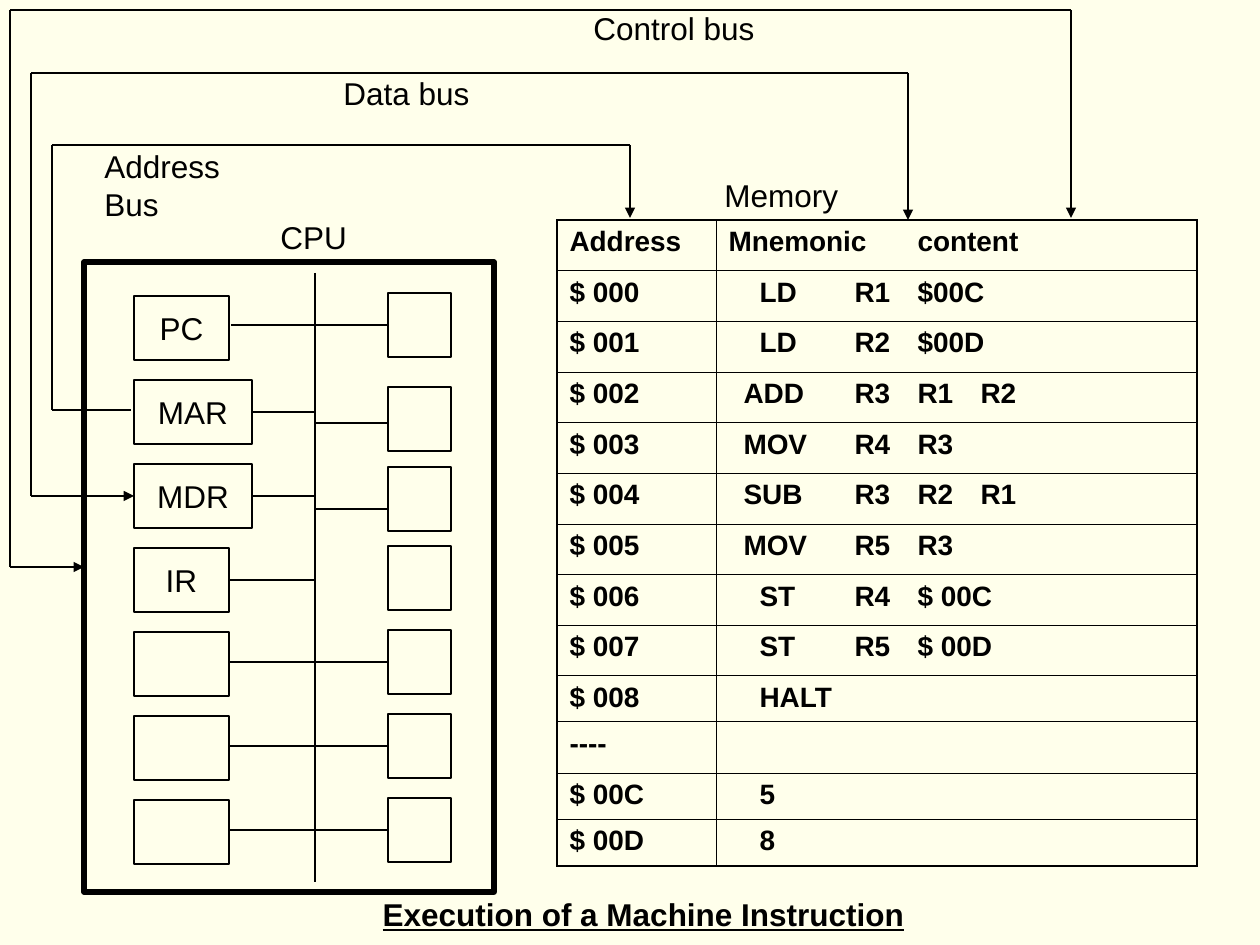
"""Build a slide on the execution of a machine instruction: CPU, buses and memory."""
from dataclasses import dataclass
from typing import NamedTuple

from lxml.etree import SubElement
from pptx import Presentation
from pptx.dml.color import RGBColor
from pptx.enum.shapes import MSO_CONNECTOR as Link, MSO_SHAPE as Shape
from pptx.enum.text import MSO_ANCHOR as Anchor, MSO_AUTO_SIZE as AutoSize, PP_ALIGN as Align
from pptx.oxml import parse_xml
from pptx.oxml.ns import nsdecls, qn
from pptx.util import Emu, Pt

INK = RGBColor(0x00, 0x00, 0x00)
PAPER = RGBColor(0xFF, 0xFF, 0xEB)
FONT = "Arial"
PX_PER_INCH = 126
THIN, THICK = 0.75, 3
INNER, OUTER = 0.45, 1.08
LEFT, RIGHT = 1, 3
BOX_HEIGHT = 64
REGISTER_LEFT, REGISTER_TOP, REGISTER_PITCH = 134, 296, 84
CELL_LEFT = 388
CPU_BUS = 315


@dataclass(frozen=True)
class Register:
    name: str
    width: int


@dataclass(frozen=True)
class Bus:
    left: int
    top: int
    right: int
    cpu_x: int
    cpu_y: int
    memory_y: int
    enters_cpu: bool


@dataclass(frozen=True)
class Label:
    text: str
    left: int
    top: int
    width: int


class Word(NamedTuple):
    offset: int
    text: str


class MemoryRow(NamedTuple):
    address: str
    words: list[Word]


REGISTERS = [Register("PC", 95), Register("MAR", 118), Register("MDR", 118),
             Register("IR", 95)] + [Register("", 95)] * 3
CELL_TOPS = [293, 387, 467, 546, 630, 714, 798]
CROSSING_STARTS = {0: 231, 4: 229, 5: 229, 6: 229}
CELL_STUBS = [423, 509]
CONTROL_BUS = Bus(10, 10, 1071, 84, 567, 218, True)
DATA_BUS = Bus(31, 73, 908, 134, 496, 220, True)
ADDRESS_BUS = Bus(52, 145, 630, 131, 410, 218, False)
LABELS = [
    Label("CPU", 268, 212, 147),
    Label("Control bus", 581, 3, 186),
    Label("Data bus", 331, 68, 151),
    Label("Address Bus", 92, 141, 203),
    Label("Memory", 712, 170, 139),
]
MEMORY = [
    MemoryRow("Address", [Word(0, "Mnemonic"), Word(154, "content")]),
    MemoryRow("$ 000", [Word(31, "LD"), Word(177, "R1"), Word(336, "$00C")]),
    MemoryRow("$ 001", [Word(31, "LD"), Word(177, "R2"), Word(336, "$00D")]),
    MemoryRow("$ 002", [Word(15, "ADD"), Word(176, "R3"), Word(250, "R1"), Word(340, "R2")]),
    MemoryRow("$ 003", [Word(15, "MOV"), Word(180, "R4"), Word(339, "R3")]),
    MemoryRow("$ 004", [Word(15, "SUB"), Word(183, "R3"), Word(258, "R2"), Word(348, "R1")]),
    MemoryRow("$ 005", [Word(15, "MOV"), Word(180, "R5"), Word(255, "R3")]),
    MemoryRow("$ 006", [Word(31, "ST"), Word(183, "R4"), Word(265, "$ 00C")]),
    MemoryRow("$ 007", [Word(31, "ST"), Word(183, "R5"), Word(265, "$ 00D")]),
    MemoryRow("$ 008", [Word(31, "HALT")]),
    MemoryRow("----", []),
    MemoryRow("$ 00C", [Word(31, "5")]),
    MemoryRow("$ 00D", [Word(31, "8")]),
]
ROW_TOPS = [456 * i / 9 for i in range(10)] + [502, 553, 599, 646]


def px(length: float) -> Emu:
    return Emu(round(length * 914400 / PX_PER_INCH))


def style_text(paragraph, size: int, bold: bool = False, underline: bool = False) -> None:
    for run in paragraph.runs:
        font = run.font
        font.name, font.size, font.bold, font.underline = FONT, Pt(size), bold, underline
        font.color.rgb = INK


def draw_box(slide, left: int, top: int, width: int, height: int,
             text: str = "", weight: float = THIN):
    box = slide.shapes.add_shape(Shape.RECTANGLE, px(left), px(top), px(width), px(height))
    box.shadow.inherit = False
    box.fill.background()
    box.line.color.rgb = INK
    box.line.width = Pt(weight)
    if text:
        frame = box.text_frame
        frame.text = text
        frame.word_wrap = False
        frame.vertical_anchor = Anchor.MIDDLE
        frame.paragraphs[0].alignment = Align.CENTER
        style_text(frame.paragraphs[0], 18)
    return box


def draw_line(slide, x1: int, y1: int, x2: int, y2: int, arrow: bool = False):
    line = slide.shapes.add_connector(Link.STRAIGHT, px(x1), px(y1), px(x2), px(y2))
    line.line.color.rgb = INK
    line.line.width = Pt(THIN)
    if arrow:
        SubElement(line.line._get_or_add_ln(), qn("a:tailEnd"), type="triangle")
    SubElement(line._element.spPr, qn("a:effectLst"))
    return line


def draw_bus(slide, bus: Bus):
    draw_line(slide, bus.left, bus.top, bus.right, bus.top)
    draw_line(slide, bus.left, bus.top, bus.left, bus.cpu_y)
    draw_line(slide, bus.right, bus.top, bus.right, bus.memory_y, arrow=True)
    return draw_line(slide, bus.left, bus.cpu_y, bus.cpu_x, bus.cpu_y, bus.enters_cpu)


def draw_label(slide, label: Label) -> None:
    box = slide.shapes.add_textbox(px(label.left), px(label.top), px(label.width), px(50))
    box.text_frame.text = label.text
    box.text_frame.word_wrap = False
    style_text(box.text_frame.paragraphs[0], 18)


def draw_cpu(slide) -> None:
    draw_box(slide, 84, 262, 410, 630, weight=THICK)
    draw_line(slide, CPU_BUS, 273, CPU_BUS, 882)
    cells = [draw_box(slide, CELL_LEFT, top, 63, BOX_HEIGHT) for top in CELL_TOPS]
    registers = {}
    for i, register in enumerate(REGISTERS):
        top = REGISTER_TOP + i * REGISTER_PITCH
        box = draw_box(slide, REGISTER_LEFT, top, register.width, BOX_HEIGHT, register.name)
        if i in CROSSING_STARTS:
            middle = CELL_TOPS[i] + BOX_HEIGHT // 2
            wire = draw_line(slide, CROSSING_STARTS[i], middle, CELL_LEFT, middle)
            wire.end_connect(cells[i], LEFT)
        else:
            middle = top + BOX_HEIGHT // 2
            wire = draw_line(slide, REGISTER_LEFT + register.width, middle, CPU_BUS, middle)
            wire.begin_connect(box, RIGHT)
            registers[register.name] = box
    for y in CELL_STUBS:
        draw_line(slide, CPU_BUS, y, CELL_LEFT, y)
    draw_bus(slide, CONTROL_BUS)
    draw_bus(slide, ADDRESS_BUS)
    draw_bus(slide, DATA_BUS).end_connect(registers["MDR"], LEFT)


def fill_cell(cell, words: list[Word], borders: dict[str, float]) -> None:
    cell.fill.background()
    for i, (side, weight) in enumerate(borders.items()):
        cell._tc.get_or_add_tcPr().insert(i, parse_xml(
            f'<a:{side} {nsdecls("a")} w="{Pt(weight)}"><a:solidFill>'
            f'<a:srgbClr val="{INK}"/></a:solidFill></a:{side}>'))
    if words:
        paragraph = cell.text_frame.paragraphs[0]
        paragraph.text = "\t".join(word.text for word in words)
        style_text(paragraph, 16, bold=True)
        layout = paragraph._p.get_or_add_pPr()
        layout.set("marL", "0")
        layout.set("indent", str(px(words[0].offset)))
        if words[1:]:
            stops = SubElement(layout, qn("a:tabLst"))
            for word in words[1:]:
                SubElement(stops, qn("a:tab"), pos=str(px(word.offset)), algn="l")


def draw_memory(slide) -> None:
    last = len(MEMORY) - 1
    memory = slide.shapes.add_table(len(MEMORY), 2, px(557), px(220), px(640), px(646)).table
    memory.first_row = memory.horz_banding = False
    memory.columns[0].width, memory.columns[1].width = px(159), px(481)
    for r, row in enumerate(MEMORY):
        memory.rows[r].height = px(ROW_TOPS[r + 1] - ROW_TOPS[r])
        for c, words in enumerate(([Word(0, row.address)], row.words)):
            outside = {"lnL": c == 0, "lnR": c == 1, "lnT": r == 0, "lnB": r == last}
            borders = {side: OUTER if edge else INNER for side, edge in outside.items()}
            fill_cell(memory.cell(r, c), words, borders)


def draw_title(slide) -> None:
    title = slide.shapes.title
    title.left, title.top, title.width, title.height = px(370), px(889), px(547), px(50)
    frame = title.text_frame
    frame.text = "Execution of a Machine Instruction"
    frame.word_wrap = False
    frame.auto_size = AutoSize.NONE
    frame.vertical_anchor = Anchor.TOP
    frame.paragraphs[0].alignment = Align.CENTER
    style_text(frame.paragraphs[0], 18, bold=True, underline=True)


def main() -> None:
    deck = Presentation()
    deck.slide_width, deck.slide_height = px(1260), px(945)
    slide = deck.slides.add_slide(deck.slide_layouts[5])
    slide.background.fill.solid()
    slide.background.fill.fore_color.rgb = PAPER
    draw_title(slide)
    draw_cpu(slide)
    draw_memory(slide)
    for label in LABELS:
        draw_label(slide, label)
    deck.save("out.pptx")


if __name__ == "__main__":
    main()
